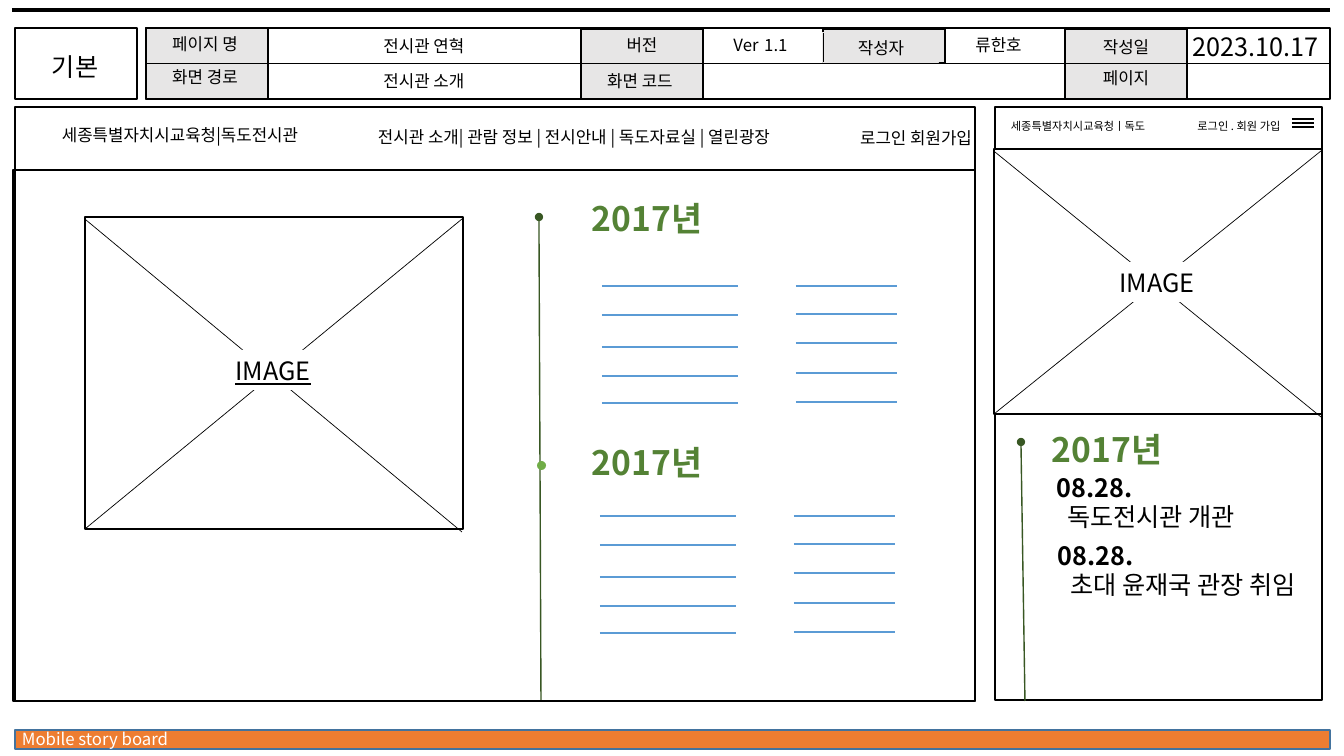
from dataclasses import dataclass
from lxml.etree import SubElement
from pptx import Presentation
from pptx.dml.color import RGBColor
from pptx.enum.shapes import MSO_CONNECTOR as Connector, MSO_SHAPE as Preset
from pptx.enum.text import MSO_ANCHOR as Anchor, MSO_AUTO_SIZE as AutoSize, PP_ALIGN as Align
from pptx.oxml.ns import qn
from pptx.util import Pt

EMU_PER_PIXEL = 914400 / 100.8


@dataclass(frozen=True)
class Theme:
    font: str = "Noto Sans CJK KR"
    black: str = "000000"
    white: str = "FFFFFF"
    gray: str = "E7E6E6"
    orange: str = "ED7D31"
    footer_edge: str = "43739E"
    blue: str = "5B9BD5"
    dark_green: str = "385723"
    green: str = "548235"
    light_green: str = "70AD47"
    tiny: int = 8
    body: int = 12
    large: int = 18
    heading: int = 24


def px(value):
    return round(value * EMU_PER_PIXEL)


def color(value):
    return RGBColor.from_string(value)


def write_text(shape, content, theme, *, size, ink, align, bold, underline):
    """Write a string, or a list of (text, size) runs, into a shape."""
    frame = shape.text_frame
    frame.word_wrap = True
    frame.auto_size = AutoSize.SHAPE_TO_FIT_TEXT
    frame.vertical_anchor = Anchor.TOP
    paragraph = frame.paragraphs[0]
    paragraph.alignment = align
    runs = [(content, size)] if isinstance(content, str) else content
    for words, points in runs:
        run = paragraph.add_run()
        run.text = words
        font = run.font
        font.size, font.bold, font.underline = Pt(points), bold, underline
        font.color.rgb = color(ink)
        font.name = theme.font
        SubElement(run._r.get_or_add_rPr(), qn("a:ea"), typeface=theme.font)


class Storyboard:
    def __init__(self, slide, theme):
        self.slide, self.theme = slide, theme

    def box(self, left, top, width, height, fill=None, line=None, weight=1,
            preset=Preset.RECTANGLE):
        shape = self.slide.shapes.add_shape(
            preset, px(left), px(top), px(width), px(height))
        shape.shadow.inherit = False
        if fill:
            shape.fill.solid()
            shape.fill.fore_color.rgb = color(fill)
        else:
            shape.fill.background()
        if line:
            shape.line.color.rgb = color(line)
            shape.line.width = Pt(weight)
        else:
            shape.line.fill.background()
        return shape

    def text(self, left, top, width, height, content, *, shape=None, size=None,
             ink=None, align=Align.CENTER, bold=False, underline=False):
        shape = shape or self.slide.shapes.add_textbox(
            px(left), px(top), px(width), px(height))
        write_text(shape, content, self.theme, size=size or self.theme.body,
                   ink=ink or self.theme.black, align=align, bold=bold,
                   underline=underline)

    def text_shape(self, left, top, width, height, content, fill=None,
                   line=None, weight=1, **style):
        shape = self.box(left, top, width, height, fill, line, weight)
        self.text(left, top, width, height, content, shape=shape, **style)

    def line(self, x1, y1, x2, y2, ink=None, weight=1, dot=False):
        connector = self.slide.shapes.add_connector(
            Connector.STRAIGHT, px(x1), px(y1), px(x2), px(y2))
        connector.line.color.rgb = color(ink or self.theme.black)
        connector.line.width = Pt(weight)
        if dot:
            SubElement(connector.line._get_or_add_ln(), qn("a:tailEnd"), type="oval")
        SubElement(connector._element.spPr, qn("a:effectLst"))

    def image_frame(self, left, top, width, height, label, underline=False):
        right, bottom = left + width, top + height
        self.box(left, top, width, height, self.theme.white, self.theme.black)
        self.line(left, bottom, right - 1, top + 2, weight=0.5)
        self.line(right - 1, bottom + 3, left + 1, top + 3, weight=0.5)
        self.text_shape(*label, "IMAGE", fill=self.theme.white,
                        size=self.theme.large, underline=underline)

    def year(self, left, top):
        self.text(left, top, 164, 50, "2017년", size=self.theme.heading,
                  ink=self.theme.green, bold=True)


theme = Theme()
presentation = Presentation()
presentation.slide_width, presentation.slide_height = px(1344), px(756)
board = Storyboard(
    presentation.slides.add_slide(presentation.slide_layouts[6]), theme)

# Top rule and footer
board.line(12, 10, 1330, 10, weight=3)
board.box(15, 730, 1315, 19, theme.orange, theme.footer_edge)
board.text(12, 724, 323, 30, "Mobile story board", ink=theme.white, align=Align.LEFT)

# Header frames
for frame in [(15, 28, 122, 71), (146, 28, 1184, 71), (15, 107, 960, 594)]:
    board.box(*frame, line=theme.black)
for left, top, height in [(146, 28, 71), (581, 29, 70), (823, 29, 34), (1065, 29, 70)]:
    board.box(left, top, 122, height, theme.gray, theme.black)
board.line(146, 63, 1330, 63, weight=0.5)

# Header labels and values
board.text(17, 46, 116, 42, "기본", size=theme.large)
for left, top, label in [
    (147, 29, "페이지 명"), (147, 62, "화면 경로"),
    (584, 30, "버전"), (582, 66, "화면 코드"),
    (1068, 32, "작성일"), (1068, 63, "페이지"),
]:
    board.text(left, top, 116, 30, label)
board.text_shape(823, 33, 116, 30, "작성자", line=theme.gray, weight=0.75)
board.text(897, 30, 203, 30, "류한호")
board.text(1154, 26, 203, 40, "2023.10.17", size=theme.large)
board.text(659, 21, 203, 40,
           [("Ver", theme.body), (" ", theme.large), ("1.1", theme.body)])
for top, value in [(31, "전시관 연혁"), (66, "전시관 소개")]:
    board.text(308, top, 232, 30, value)

# Desktop navigation
board.text(26, 120, 308, 30, "세종특별자치시교육청|독도전시관")
board.text(340, 122, 468, 30,
           "전시관 소개| 관람 정보 | 전시안내 | 독도자료실 | 열린광장")
board.text(588, 123, 394, 30, "로그인 회원가입", align=Align.RIGHT)

# Mobile screen
board.box(995, 107, 327, 593, line=theme.black)
board.text(1001, 114, 188, 24, "세종특별자치시교육청ㅣ독도", size=theme.tiny,
           align=Align.LEFT)
board.text(1168, 114, 125, 24, "로그인 . 회원 가입 ", size=theme.tiny,
           align=Align.RIGHT)
for menu_y in range(119, 128, 4):
    board.line(1292, menu_y, 1314, menu_y)
board.image_frame(994, 149, 328, 265, label=(1103, 262, 108, 40))
board.line(1025, 701, 1021, 442, theme.dark_green, dot=True)
board.year(1025, 424)
for left, date_top, event_top, width, event in [
    (1021, 467, 496, 260, "독도전시관 개관"),
    (1022, 535, 564, 322, "초대 윤재국 관장 취임"),
]:
    board.text(left, date_top, 147, 40, "08.28.", size=theme.large, bold=True)
    board.text(left, event_top, width, 40, event, size=theme.large)

# Desktop image and timeline
board.image_frame(85, 217, 378, 312, label=(211, 350, 124, 40), underline=True)
board.line(541, 700, 539, 217, theme.dark_green, dot=True)
board.box(537, 461, 9, 9, theme.light_green, preset=Preset.OVAL)

# Year blocks with placeholder text lines
for year_top, shift_x, shift_y in [(193, 0, 0), (437, -2, 230)]:
    board.year(565, year_top)
    for left, width, weight, rows in [
        (602, 136, 1.5, (286, 315, 347, 376, 403)),
        (796, 101, 1, (286, 314, 343, 373, 402)),
    ]:
        for row in rows:
            x, y = left + shift_x, row + shift_y
            board.line(x, y, x + width, y, theme.blue, weight)

# Desktop content border
board.box(13, 170, 962, 531, line=theme.black)

presentation.save("out.pptx")
